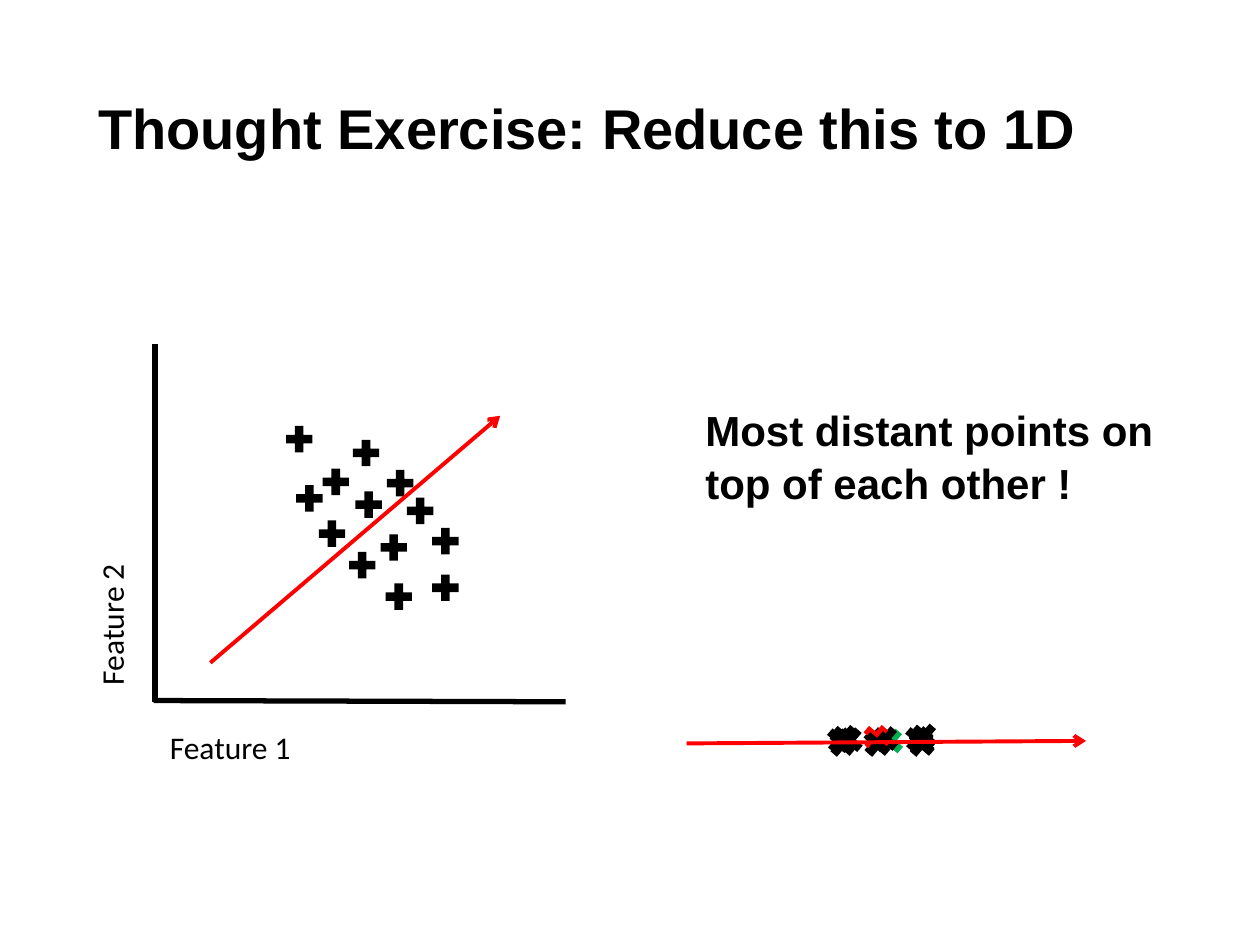
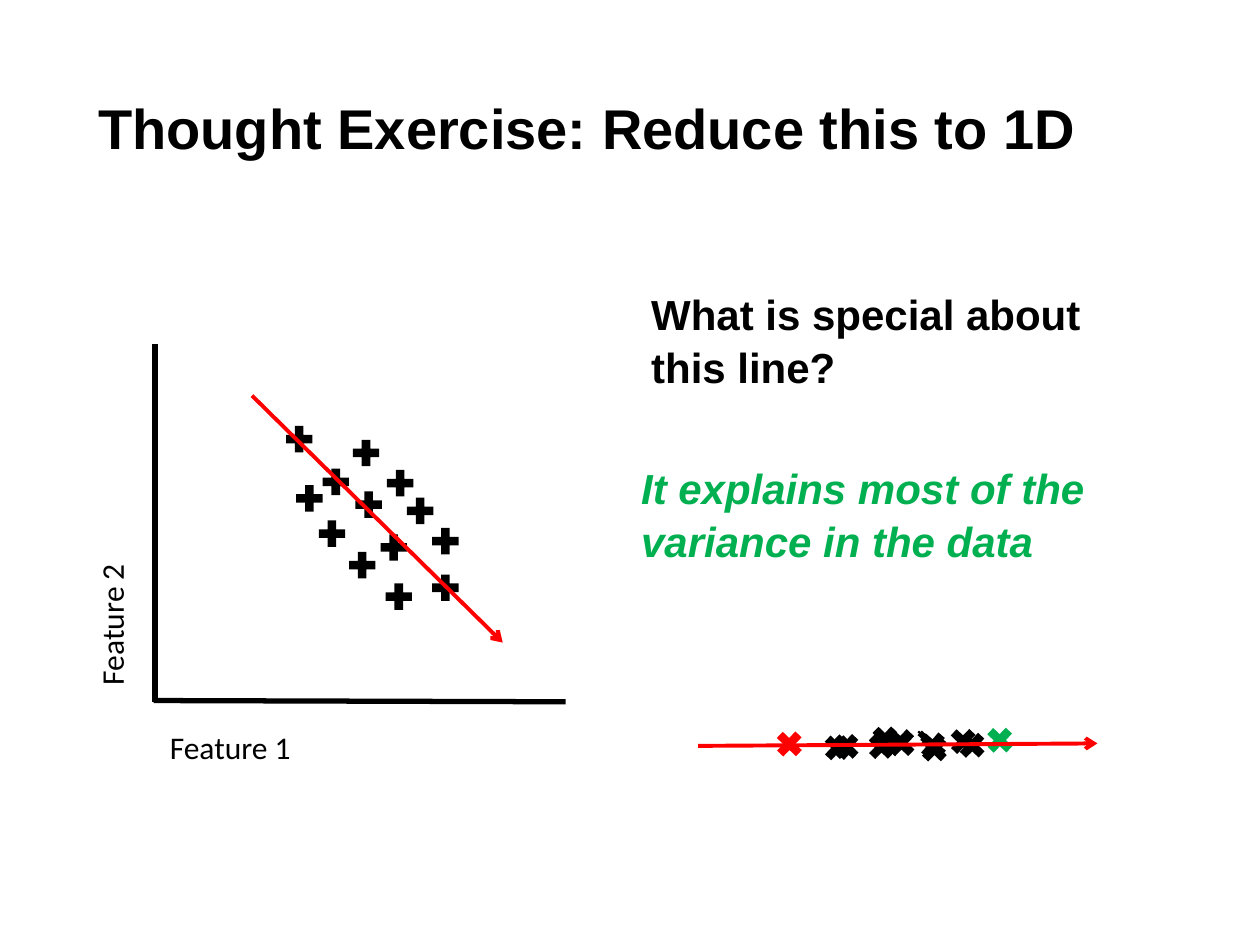
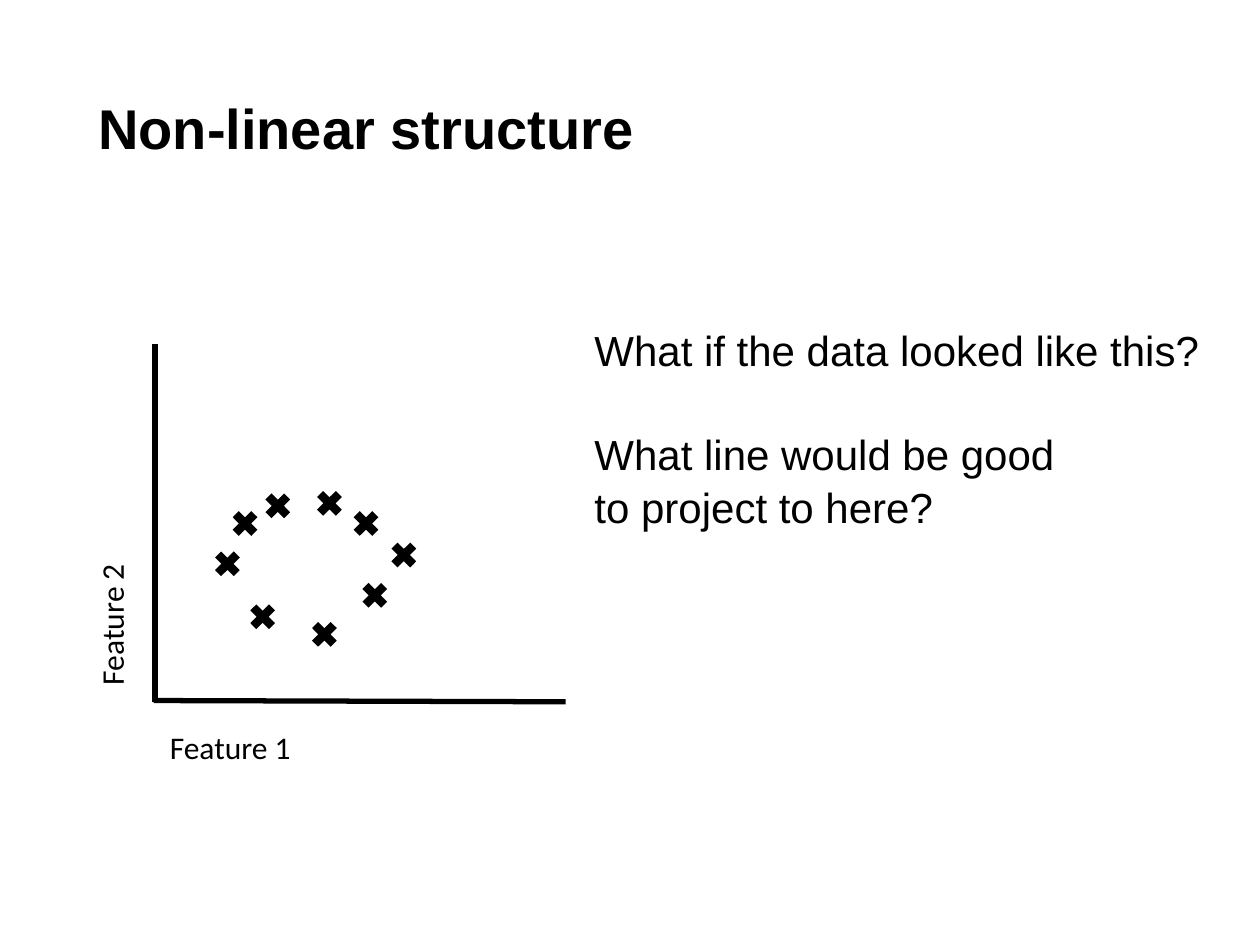
from dataclasses import dataclass
from typing import NamedTuple

from lxml.etree import SubElement as Sub
from pptx import Presentation
from pptx.dml.color import RGBColor as RGB
from pptx.enum.shapes import MSO_CONNECTOR as Link, MSO_SHAPE as Form
from pptx.enum.text import MSO_ANCHOR as Anchor, MSO_AUTO_SIZE as Fit, PP_ALIGN as Align
from pptx.oxml.ns import qn
from pptx.util import Pt

SCALE = 9144  # EMU per px, 100 px to the inch


@dataclass(frozen=True)
class Theme:
    ink: RGB = RGB(0, 0, 0)
    red: RGB = RGB(255, 0, 0)
    green: RGB = RGB(0, 176, 80)
    font: str = "Arial"
    label: str = "Calibri"
    head: int = 32
    note: int = 24
    tag: int = 18
    axis: float = 3
    ray: float = 2.25
    tight: float = 0.9
    loose: float = 1.05
    gap: int = 29


T = Theme()


class Mark(NamedTuple):
    x: int
    y: int
    color: RGB = T.ink
    turn: float = 0
    wide: int = 21
    high: int = 21


# Regions: left, top, width, height
HEAD = (68, 58, 862, 75)
PLOT = (123, 273, 326, 284)
TAG = (117, 40)

CLOUD = [(220, 183), (154, 165), (183, 190), (159, 117), (133, 99), (104, 65),
         (179, 151), (184, 100), (112, 112), (130, 140), (200, 122), (157, 76),
         (220, 146)]
RING = [(124, 220), (164, 189), (187, 157), (128, 116), (87, 118), (75, 206),
        (157, 132), (47, 164), (61, 132)]

TILT, LEAN, SLANT = 40.6, 313.7, 315.1


def spots(points, turn=0):
    return [Mark(x, y, turn=turn) for x, y in points]


# Points projected on each line, back to front
MIXED = [Mark(151, 3, T.green, TILT),
         *spots([(113, 5), (119, 2), (147, 1), (140, 4)], TILT),
         Mark(140, 0, T.red, TILT),
         *spots([(141, 5), (178, -1), (115, 0), (111, 2), (176, 5), (173, 1),
                 (176, 4)], TILT)]
SPREAD = [Mark(176, 4, turn=TILT),
          Mark(229, 0, T.green, LEAN),
          Mark(178, 1, turn=LEAN, wide=5, high=16),
          *spots([(207, 4), (138, -1)], LEAN),
          Mark(62, 3, T.red, LEAN),
          Mark(177, 7, turn=LEAN),
          Mark(150, 1, turn=LEAN, wide=22, high=23),
          *spots([(100, 6), (135, 5), (107, 5), (200, 1)], LEAN)]


def px(*sizes):
    return [size * SCALE for size in sizes]


def style(para, size, font=T.font, color=T.ink, bold=False, slope=False):
    for run in para.runs:
        face = run.font
        face.name, face.size, face.bold, face.italic = font, Pt(size), bold, slope
        face.color.rgb = color


def line(shapes, box, start, end, color=T.ink, width=T.axis, arrow=False):
    left, top = box[:2]
    ends = px(left + start[0], top + start[1], left + end[0], top + end[1])
    stroke = shapes.add_connector(Link.STRAIGHT, *ends)
    stroke.line.color.rgb = color
    stroke.line.width = Pt(width)
    if arrow:
        Sub(stroke.line._get_or_add_ln(), qn("a:tailEnd"), type="arrow")
    Sub(stroke._element.spPr, qn("a:effectLst"))


def ray(shapes, box, start, end):
    line(shapes, box, start, end, T.red, T.ray, True)


def scatter(shapes, box, marks):
    for mark in marks:
        place = px(box[0] + mark.x, box[1] + mark.y, mark.wide, mark.high)
        plus = shapes.add_shape(Form.CROSS, *place)
        plus.adjustments[0] = 0.338
        plus.rotation = mark.turn
        plus.fill.solid()
        plus.fill.fore_color.rgb = mark.color
        plus.line.fill.background()
        plus.shadow.inherit = False


def write(shapes, box, text, wrap=True):
    item = shapes.add_textbox(*px(*box))
    frame = item.text_frame
    frame.word_wrap = wrap
    frame.auto_size = Fit.SHAPE_TO_FIT_TEXT
    frame.text = text
    return item


def note(shapes, box, text, wrap=True, **look):
    paras = write(shapes, box, text, wrap).text_frame.paragraphs
    for para in paras:
        para.line_spacing = T.loose
        style(para, T.note, **look)
    return paras


def page(deck, text):
    slide = deck.slides.add_slide(deck.slide_layouts[5])
    title = slide.shapes.title
    title.left, title.top, title.width, title.height = px(*HEAD)
    frame = title.text_frame
    frame.text = text
    frame.word_wrap = True
    frame.vertical_anchor = Anchor.BOTTOM
    para = frame.paragraphs[0]
    para.alignment = Align.LEFT
    para.line_spacing = T.tight
    style(para, T.head, bold=True)
    return slide.shapes


def plot(shapes, box, marks, course=None):
    left, top, wide, high = box
    # Axis labels
    for text, x, y, turn in (("Feature 1", 2, high + 16, 0),
                             ("Feature 2", -93, high - 82, 270)):
        tag = write(shapes, (left + x, top + y, *TAG), text, False)
        tag.rotation = turn
        style(tag.text_frame.paragraphs[0], T.tag, T.label)
    # Data and the line to project on
    scatter(shapes.add_group_shape().shapes, box, marks)
    if course:
        ray(shapes, box, *course)
    # Axes
    line(shapes, box, (0, 0), (0, high))
    line(shapes, box, (wide, high), (-1, high - 1))


def strip(shapes, box, marks):
    scatter(shapes, box, marks)
    ray(shapes, box, (0, 15), (317, 13))


def main():
    deck = Presentation()
    deck.slide_width, deck.slide_height = px(1000, 750)
    task = "Thought Exercise: Reduce this to 1D"

    # Poor line: far points overlap
    shapes = page(deck, task)
    plot(shapes, PLOT, spots(CLOUD), ((44, 253), (274, 57)))
    strip(shapes, (545, 575), MIXED)
    note(shapes, (550, 314, 393, 91),
         "Most distant points on top of each other !", bold=True)

    # Best line: most variance kept
    shapes = page(deck, task)
    plot(shapes, PLOT, spots(CLOUD), ((77, 41), (276, 237)))
    strip(shapes, (554, 577), SPREAD)
    note(shapes, (507, 222, 364, 91), "What is special about\nthis line?",
         wrap=False, bold=True)
    note(shapes, (499, 360, 500, 91), "It explains most of the variance in the data",
         color=T.green, bold=True, slope=True)

    # Ring of data
    shapes = page(deck, "Non-linear structure")
    plot(shapes, PLOT, spots(RING, SLANT))
    paras = note(shapes, (462, 251, 507, 212), "What if the data looked like this?\n"
                 "What line would be good\nto project to here?")
    paras[1].space_before = Pt(T.gap)

    deck.save("out.pptx")


if __name__ == "__main__":
    main()
